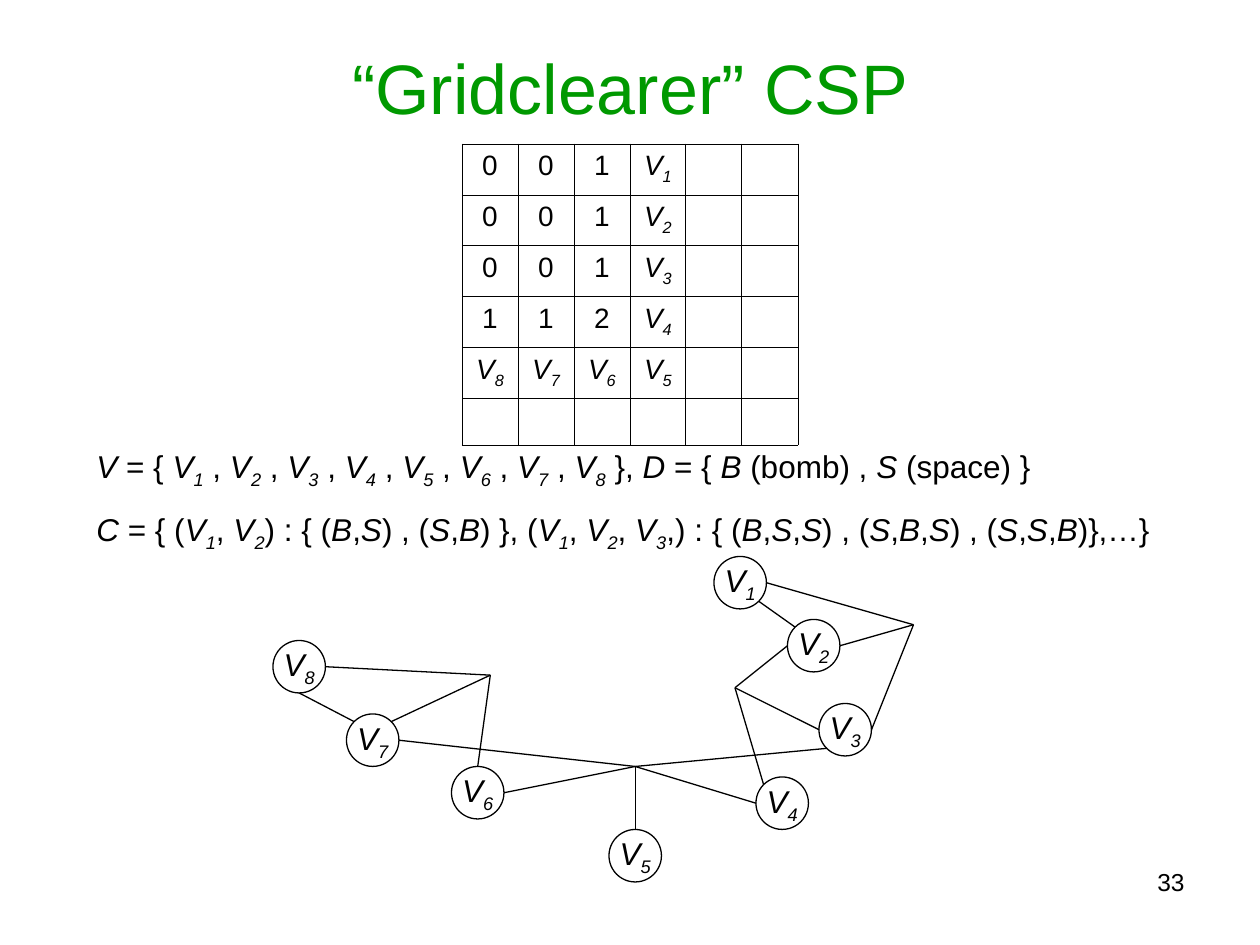
from itertools import groupby
from lxml import etree
from pptx import Presentation
from pptx.dml.color import RGBColor
from pptx.enum.shapes import MSO_CONNECTOR, MSO_SHAPE
from pptx.enum.text import MSO_ANCHOR, PP_ALIGN
from pptx.oxml.ns import qn
from pptx.util import Inches, Pt

LEFT, CENTER, RIGHT = PP_ALIGN.LEFT, PP_ALIGN.CENTER, PP_ALIGN.RIGHT
TOP, MIDDLE = MSO_ANCHOR.TOP, MSO_ANCHOR.MIDDLE
CIRCLE, STRAIGHT = MSO_SHAPE.FLOWCHART_CONNECTOR, MSO_CONNECTOR.STRAIGHT
BLACK = RGBColor(0x00, 0x00, 0x00)
GREEN = RGBColor(0x00, 0x99, 0x00)
WHITE = RGBColor(0xFF, 0xFF, 0xFF)

prs = Presentation()
prs.slide_width, prs.slide_height = Inches(10), Inches(7.5)
slide = prs.slides.add_slide(prs.slide_layouts[6])
shapes = slide.shapes
UNIT = prs.slide_width / 120


def grid(*places):
    return [round(place * UNIT) for place in places]


def write(paragraph, text, size, align, color=BLACK, math=True):
    paragraph.alignment = align

    def style(char):
        subscript = math and "V" in text and char.isdigit()
        return subscript or (math and char in "VDCBS"), subscript

    for (italic, subscript), chars in groupby(text, style):
        run = paragraph.add_run()
        run.text = "".join(chars)
        run.font.name, run.font.size = "Arial", Pt(size)
        run.font.color.rgb = color
        run.font.italic = italic
        if subscript:
            run.font._element.set("baseline", "-25000")


FORMULAS = [
    "V = { V1 , V2 , V3 , V4 , V5 , V6 , V7 , V8 }, D = { B (bomb) , S (space) }",
    "C = { (V1, V2) : { (B,S) , (S,B) }, (V1, V2, V3,) : "
    "{ (B,S,S) , (S,B,S) , (S,S,B)},…}",
]
TEXTS = [
    (["“Gridclearer” CSP"], (6, 3.6, 108, 9.36), 40, CENTER, MIDDLE, GREEN, False),
    (FORMULAS, (8, 42, 109, 11.3), 18, LEFT, TOP, BLACK, True),
    (["33"], (58, 82, 56, 6.2), 14, RIGHT, TOP, BLACK, False),
]
for lines, place, size, align, anchor, color, math in TEXTS:
    frame = shapes.add_textbox(*grid(*place)).text_frame
    frame.word_wrap = True
    frame.vertical_anchor = anchor
    for index, line in enumerate(lines):
        paragraph = frame.add_paragraph() if index else frame.paragraphs[0]
        if index:
            paragraph.space_before = Pt(11.2)
        write(paragraph, line, size, align, color, math)

FIELD = [
    ["0", "0", "1", "V1", "", ""],
    ["0", "0", "1", "V2", "", ""],
    ["0", "0", "1", "V3", "", ""],
    ["1", "1", "2", "V4", "", ""],
    ["V8", "V7", "V6", "V5", "", ""],
    [""] * 6,
]
LAST = len(FIELD) - 1
minefield = shapes.add_table(6, 6, *grid(44, 13.7, 32, 26.4)).table
minefield.first_row = minefield.horz_banding = False
for r, values in enumerate(FIELD):
    minefield.rows[r].height = grid(4.4 if r == LAST else 4.86)[0]
    for c, value in enumerate(values):
        cell = minefield.cell(r, c)
        paragraph = cell.text_frame.paragraphs[0]
        write(paragraph, value, 16, CENTER)
        paragraph._p.get_or_add_endParaRPr().set("sz", "1600")
        borders = cell._tc.get_or_add_tcPr()
        outer_sides = {"lnL": c == 0, "lnR": c == LAST, "lnT": r == 0, "lnB": r == LAST}
        for side, outer in outer_sides.items():
            border = etree.SubElement(borders, qn("a:" + side), w=str(Pt(0.23 if outer else 0.45)))
            fill = etree.SubElement(border, qn("a:solidFill"))
            etree.SubElement(fill, qn("a:srgbClr"), val=str(BLACK))
        cell.fill.background()

RADIUS = 2.5
VARIABLES = {
    "V1": (70.5, 55.5), "V2": (77.5, 61.5), "V3": (80.5, 69.5), "V4": (74.5, 76.5),
    "V5": (60.5, 81.5), "V6": (45.5, 75.5), "V7": (35.5, 70.5), "V8": (28.5, 63.5),
}
for label, (x, y) in VARIABLES.items():
    node = shapes.add_shape(CIRCLE, *grid(x - RADIUS, y - RADIUS, 2 * RADIUS, 2 * RADIUS))
    node.shadow.inherit = False
    node.fill.solid()
    node.fill.fore_color.rgb = WHITE
    node.line.color.rgb = BLACK
    node.line.width = Pt(0.75)
    node.text_frame.word_wrap = False
    node.text_frame.vertical_anchor = MIDDLE
    write(node.text_frame.paragraphs[0], label, 18, CENTER)

DIAGONAL = 0.71
SIDES = {
    "N": (0, -1), "E": (1, 0), "S": (0, 1), "W": (-1, 0),
    "NE": (DIAGONAL, -DIAGONAL), "SE": (DIAGONAL, DIAGONAL),
    "SW": (-DIAGONAL, DIAGONAL), "NW": (-DIAGONAL, -DIAGONAL),
}
CONSTRAINTS = [
    ((33.73, 68.73), ["V8 S"]),
    ((46.7, 64.3), ["V8 E", "V7 NE", "V6 N"]),
    ((60.5, 73), ["V7 E", "V6 E", "V5 N", "V4 W", "V3 SW"]),
    ((70, 65.5), ["V4 NW", "V3 W", "V2 W"]),
    ((75.73, 59.73), ["V1 SE"]),
    ((87, 59.5), ["V1 E", "V2 E", "V3 E"]),
]
for hub, members in CONSTRAINTS:
    for member in members:
        label, side = member.split()
        start = [p + RADIUS * d for p, d in zip(VARIABLES[label], SIDES[side])]
        edge = shapes.add_connector(STRAIGHT, *grid(*start, *hub))
        edge.line.color.rgb = BLACK
        edge.line.width = Pt(0.75)
        etree.SubElement(edge._element.spPr, qn("a:effectLst"))

prs.save("out.pptx")
